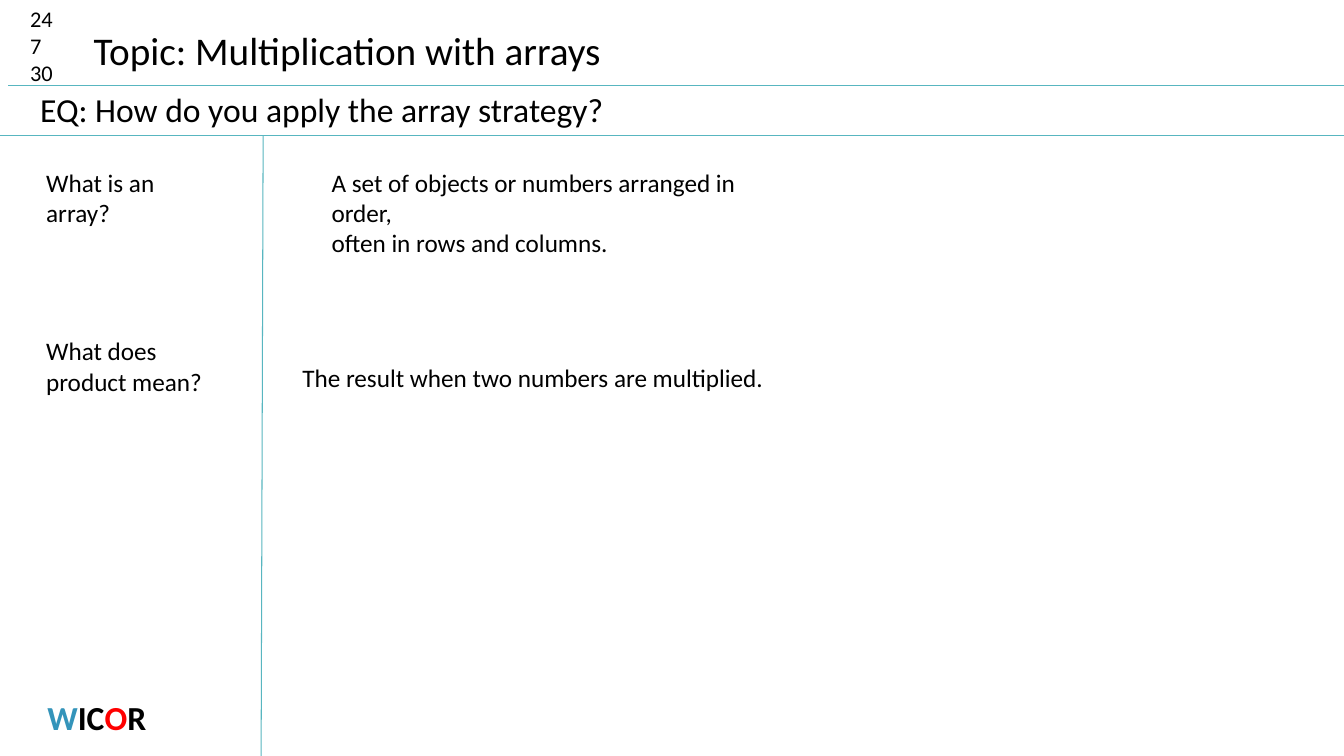
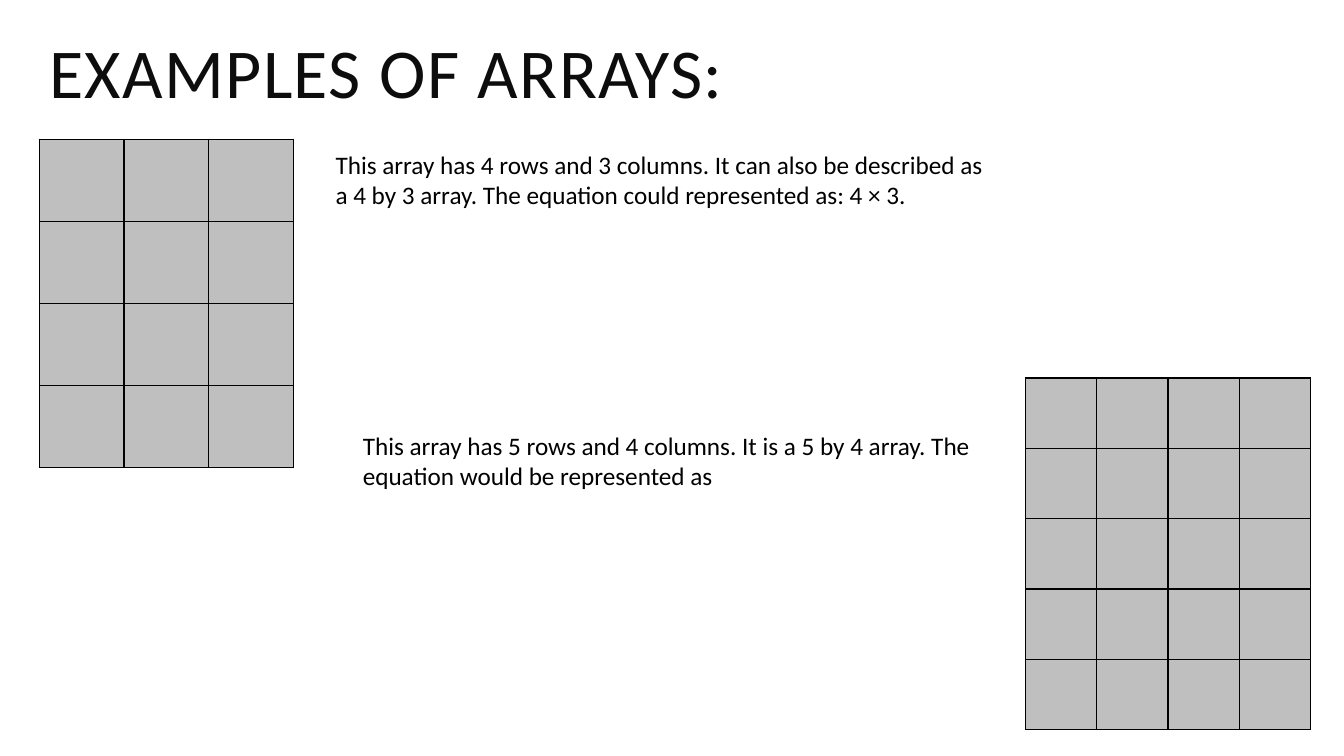
from dataclasses import dataclass, field

from lxml.etree import SubElement
from pptx import Presentation
from pptx.dml.color import RGBColor
from pptx.enum.shapes import MSO_CONNECTOR
from pptx.enum.text import PP_ALIGN
from pptx.oxml.ns import qn
from pptx.slide import Slide
from pptx.util import Inches, Pt

BLACK = "000000"
INK = "0D0D0D"
TEAL = "58B6C0"
BLUE = "3494BA"
RED = "FF0000"
GREY = "BFBFBF"
FONT = "Calibri"


@dataclass
class Run:
    text: str
    tint: str = BLACK


@dataclass
class Note:
    left: float
    top: float
    width: float
    height: float
    rows: list[list[Run]]
    size: float = 18
    bold: bool = False
    track: int = 0
    form: dict = field(default_factory=dict)


@dataclass
class Rule:
    left: float
    top: float
    right: float
    base: float


@dataclass
class Grid:
    left: float
    top: float
    rows: int
    cols: int
    wide: float
    high: float


def shade(code: str) -> RGBColor:
    return RGBColor.from_string(code)


def plain(*lines: str, tint: str = BLACK) -> list[list[Run]]:
    return [[Run(line, tint)] for line in lines]


def draw_note(slide: Slide, note: Note) -> None:
    box = slide.shapes.add_textbox(
        Inches(note.left), Inches(note.top), Inches(note.width), Inches(note.height))
    frame = box.text_frame
    frame.word_wrap = True
    style = {"name": FONT, "size": Pt(note.size), "bold": note.bold}
    for index, row in enumerate(note.rows):
        para = frame.add_paragraph() if index else frame.paragraphs[0]
        for key, value in note.form.items():
            setattr(para, key, value)
        for part in row:
            for turn, text in enumerate(part.text.split("\n")):
                if turn:
                    para.add_line_break()
                run = para.add_run()
                run.text = text
                for key, value in style.items():
                    setattr(run.font, key, value)
                run.font.color.rgb = shade(part.tint)
                if note.track:
                    run.font._element.set("spc", str(note.track))


def draw_rule(slide: Slide, rule: Rule) -> None:
    line = slide.shapes.add_connector(
        MSO_CONNECTOR.STRAIGHT, Inches(rule.left), Inches(rule.top),
        Inches(rule.right), Inches(rule.base))
    line.line.color.rgb = shade(TEAL)
    line.line.width = Pt(0.75)
    SubElement(line._element.spPr, qn("a:effectLst"))


def draw_grid(slide: Slide, grid: Grid) -> None:
    table = slide.shapes.add_table(
        grid.rows, grid.cols, Inches(grid.left), Inches(grid.top),
        Inches(grid.wide), Inches(grid.high)).table
    table.first_row = False
    table.horz_banding = False
    for col in table.columns:
        col.width = Inches(grid.wide / grid.cols)
    for row in table.rows:
        row.height = Inches(grid.high / grid.rows)
    for cell in table.iter_cells():
        props = cell._tc.get_or_add_tcPr()
        for side in ("lnL", "lnR", "lnT", "lnB"):
            edge = SubElement(props, qn(f"a:{side}"), w=str(Pt(1)))
            fill = SubElement(edge, qn("a:solidFill"))
            SubElement(fill, qn("a:srgbClr"), val=BLACK)
        cell.fill.solid()
        cell.fill.fore_color.rgb = shade(GREY)


NOTES = [
    [
        Note(0.2, 0, 0.63, 0.91, plain("24", "7", "30"), 16),
        Note(0.83, 0.21, 6, 0.57, plain("Topic: Multiplication with arrays"), 28),
        Note(0.3, 0.83, 11.64, 0.5, plain("EQ: How do you apply the array strategy?"), 24),
        Note(0, 6.86, 1.92, 0.5,
             [[Run("W", BLUE), Run("IC"), Run("O", RED), Run("R")]],
             24, True, form={"alignment": PP_ALIGN.CENTER}),
        Note(0.36, 1.61, 1.93, 0.71, plain("What is an array?")),
        Note(3.19, 1.61, 4.6, 1.01, plain(
            "A set of objects or numbers arranged in order,\noften in rows and columns.")),
        Note(0.36, 3.28, 1.93, 0.71, plain("What does product mean?")),
        Note(2.9, 3.55, 6.75, 0.4, plain("The result when two numbers are multiplied.")),
    ],
    [
        Note(0.39, 0.39, 8.77, 1.64, plain("EXAMPLES OF ARRAYS:", tint=INK),
             50, track=100, form={"line_spacing": 0.8}),
        Note(3.23, 1.43, 6.67, 0.71, plain(
            "This array has 4 rows and 3 columns. It can also be described as "
            "a 4 by 3 array. The equation could represented as: 4 × 3.")),
        Note(3.5, 4.22, 6.67, 0.71, plain(
            "This array has 5 rows and 4 columns. It is a 5 by 4 array. "
            "The equation would be represented as")),
    ],
]
RULES = [
    [Rule(0.08, 0.85, 13.33, 0.85), Rule(0, 1.34, 13.33, 1.34),
     Rule(2.61, 1.34, 2.59, 7.5)],
    [],
]
GRIDS = [
    [],
    [Grid(0.39, 1.38, 4, 3, 2.52, 3.26), Grid(10.17, 3.75, 5, 4, 2.83, 3.49)],
]


def main() -> None:
    deck = Presentation()
    deck.slide_width = Inches(13.33)
    deck.slide_height = Inches(7.5)
    for rules, notes, grids in zip(RULES, NOTES, GRIDS):
        slide = deck.slides.add_slide(deck.slide_layouts[6])
        for rule in rules:
            draw_rule(slide, rule)
        for note in notes:
            draw_note(slide, note)
        for grid in grids:
            draw_grid(slide, grid)
    deck.save("out.pptx")


if __name__ == "__main__":
    main()
